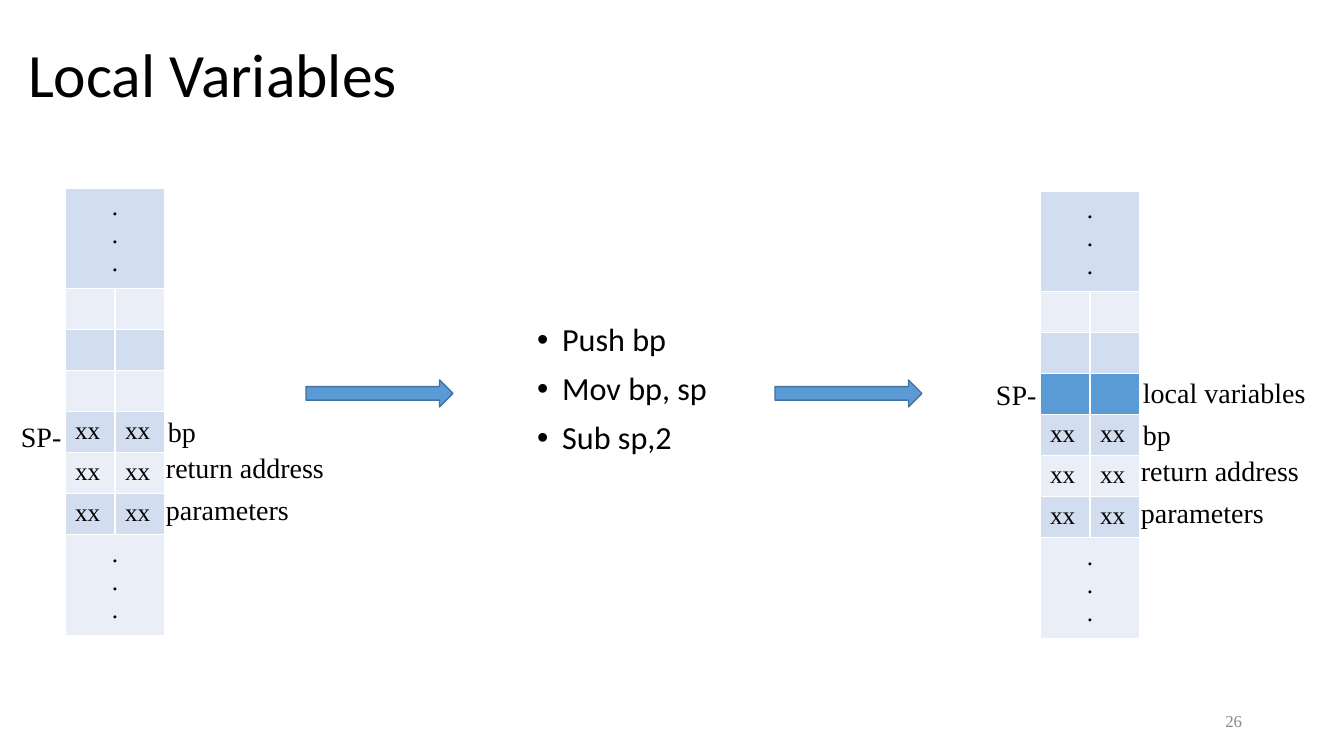
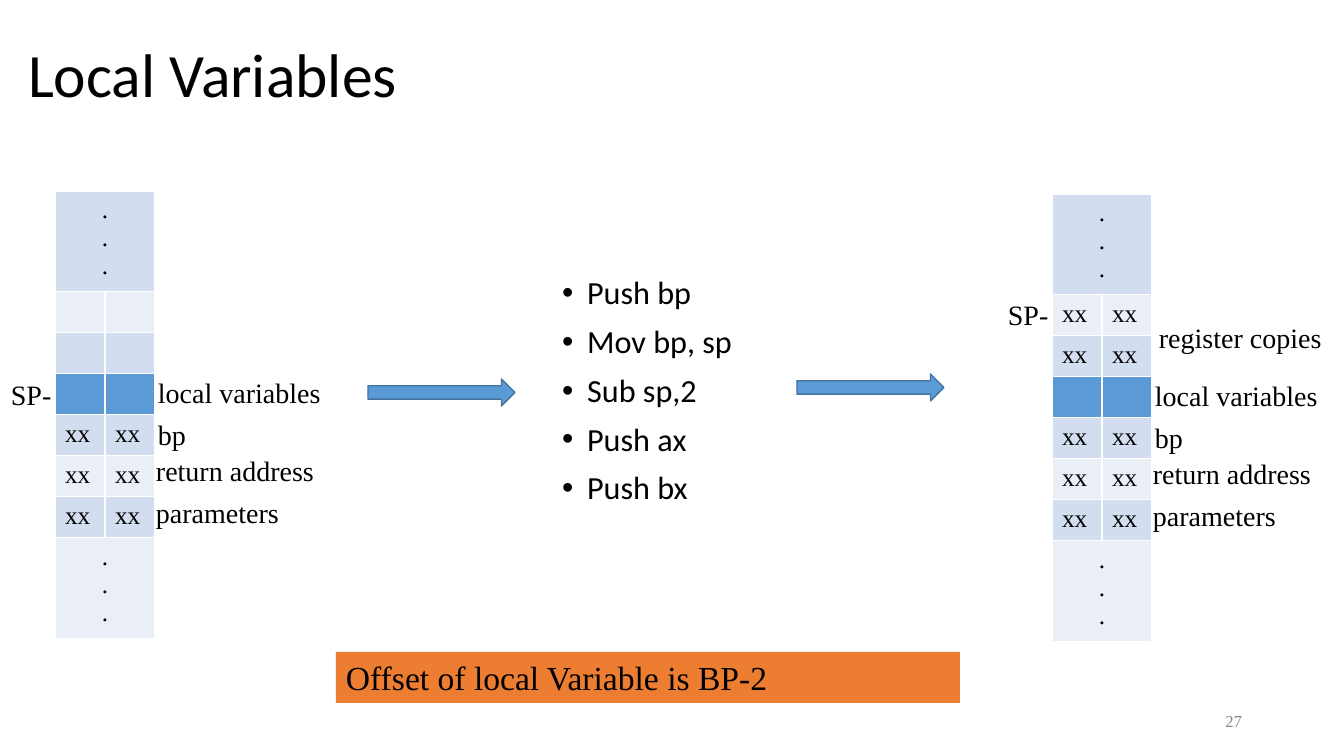
from lxml import etree
from pptx import Presentation
from pptx.dml.color import RGBColor
from pptx.enum.shapes import MSO_SHAPE
from pptx.enum.text import MSO_ANCHOR, MSO_AUTO_SIZE, PP_ALIGN
from pptx.oxml.ns import qn
from pptx.util import Pt

ARROW, RECT = MSO_SHAPE.RIGHT_ARROW, MSO_SHAPE.RECTANGLE
MIDDLE, TOP = MSO_ANCHOR.MIDDLE, MSO_ANCHOR.TOP
FIT, FIXED = MSO_AUTO_SIZE.SHAPE_TO_FIT_TEXT, MSO_AUTO_SIZE.NONE
LEFT, CENTER, RIGHT = PP_ALIGN.LEFT, PP_ALIGN.CENTER, PP_ALIGN.RIGHT

SCALE = 914400 / 100.8
WIDE, HIGH = 1344, 756
SANS, SERIF = "Calibri", "Times New Roman"
COLORS = {
    "text": "000000", "muted": "898989", "dark": "D2DEEF", "light": "EAEFF7",
    "accent": "5B9BD5", "edge": "43739E", "note": "ED7D31",
}
ROW, END, COL = 41, 100, 50
ROWS, LOCAL = 8, 3
FRAME = [
    ("parameters", 91, 300, 144),
    ("return address", 91, 258, 179),
    ("bp", 93, 222, 48),
]
VARS = ("local variables", 93, 180, 184)
COPIES = ("register copies", 97, 122, 184)


def px(*vals):
    """Turn pixel lengths into EMU."""
    return [round(val * SCALE) for val in vals]


def color(name):
    """Look up a named colour."""
    return RGBColor.from_string(COLORS[name])


class Deck:
    """Style and current slide of the presentation."""

    def __init__(self):
        """Open an empty deck of the right size."""
        self.prs = Presentation()
        self.prs.slide_width, self.prs.slide_height = px(WIDE, HIGH)

    def style(self, para, size, face=SERIF, tone="text", align=LEFT):
        """Set the font and alignment of one paragraph."""
        para.alignment = align
        font = para.font
        font.size, font.name = Pt(size), face
        font.color.rgb = color(tone)

    def place(self, shape, box):
        """Move a placeholder to a pixel box."""
        shape.left, shape.top, shape.width, shape.height = px(*box)
        shape.text_frame.auto_size = FIXED

    def start(self, title, number):
        """Begin a slide with its title and number."""
        self.slide = self.prs.slides.add_slide(self.prs.slide_layouts[1])
        self.shapes = self.slide.shapes
        head = self.shapes.title
        self.place(head, (18, 5, 1308, 146))
        frame = head.text_frame
        frame.text, frame.vertical_anchor = title, MIDDLE
        para = frame.paragraphs[0]
        para.line_spacing = 0.9
        self.style(para, 44, SANS)
        frame = self.shapes.add_textbox(*px(950, 701, 302, 40)).text_frame
        frame.text, frame.vertical_anchor = str(number), MIDDLE
        frame.word_wrap = True
        self.style(frame.paragraphs[0], 12, tone="muted", align=RIGHT)

    def list(self, box, items):
        """Fill the body placeholder with bullets."""
        body = self.slide.placeholders[1]
        self.place(body, box)
        frame = body.text_frame
        frame.text, frame.vertical_anchor = "\n".join(items), TOP
        indent = px(25)[0]
        for i, para in enumerate(frame.paragraphs):
            props = para._p.get_or_add_pPr()
            props.set("marL", str(indent))
            props.set("indent", str(-indent))
            etree.SubElement(props, qn("a:buFont")).set("typeface", "Arial")
            etree.SubElement(props, qn("a:buChar")).set("char", "•")
            para.line_spacing = 0.9
            para.space_before = Pt(10 if i else 0)
            self.style(para, 23, SANS)

    def label(self, text, x, y, w):
        """Add a line of text beside a stack."""
        frame = self.shapes.add_textbox(*px(x, y, w, 44)).text_frame
        frame.text, frame.word_wrap, frame.auto_size = text, False, FIT
        self.style(frame.paragraphs[0], 20)

    def cell(self, cell, text, fill, align=LEFT):
        """Fill one table cell."""
        cell.fill.solid()
        cell.fill.fore_color.rgb = color(fill)
        cell.text = text
        for para in cell.text_frame.paragraphs:
            self.style(para, 18, align=align)

    def stack(self, x, y, top, extra=(), used=(4, 5, 6)):
        """Draw a memory stack with its labels and stack pointer."""
        size = px(x, y, 2 * COL, 2 * END + (ROWS - 2) * ROW)
        table = self.shapes.add_table(ROWS, 2, *size).table
        table.first_row = table.horz_banding = False
        for col in table.columns:
            col.width = px(COL)[0]
        for i, row in enumerate(table.rows):
            last = i in (0, ROWS - 1)
            row.height = px(END if last else ROW)[0]
            fill = "light" if i % 2 else "dark"
            if i == LOCAL and VARS in extra:
                fill = "accent"
            if last:
                table.cell(i, 0).merge(table.cell(i, 1))
                self.cell(table.cell(i, 0), ".\n.\n.", fill, CENTER)
                continue
            for cell in row.cells:
                self.cell(cell, "xx" if i in used else "", fill)
        for text, dx, dy, w in [*FRAME, ("SP-", -54, top, 61), *extra]:
            self.label(text, x + dx, y + dy, w)

    def shape(self, kind, box, fill):
        """Add a flat filled shape."""
        shape = self.shapes.add_shape(kind, *px(*box))
        shape.shadow.inherit = False
        shape.fill.solid()
        shape.fill.fore_color.rgb = color(fill)
        return shape

    def arrow(self, x, y):
        """Add a block arrow."""
        line = self.shape(ARROW, (x, y, 147, 27), "accent").line
        line.color.rgb, line.width = color("edge"), Pt(1)

    def banner(self, text, box):
        """Add a filled strip with a remark."""
        shape = self.shape(RECT, box, "note")
        shape.line.fill.background()
        frame = shape.text_frame
        frame.text, frame.word_wrap = text, True
        frame.vertical_anchor, frame.auto_size = TOP, FIT
        self.style(frame.paragraphs[0], 24)


def main():
    """Build both slides and save them."""
    deck = Deck()
    title = "Local Variables"
    steps = ["Push bp", "Mov bp, sp", "Sub sp,2"]

    deck.start(title, 26)
    deck.list((527, 319, 192, 149), steps)
    deck.stack(65, 188, 227)
    deck.arrow(306, 380)
    deck.stack(1040, 191, 182, [VARS])
    deck.arrow(775, 380)

    deck.start(title, 27)
    deck.list((552, 272, 192, 248), steps + ["Push ax", "Push bx"])
    deck.stack(55, 191, 182, [VARS])
    deck.arrow(368, 379)
    deck.arrow(797, 374)
    deck.stack(1052, 194, 99, [VARS, COPIES], (1, 2, 4, 5, 6))
    deck.banner("Offset of local Variable is BP-2", (336, 652, 624, 51))

    deck.prs.save("out.pptx")


if __name__ == "__main__":
    main()
